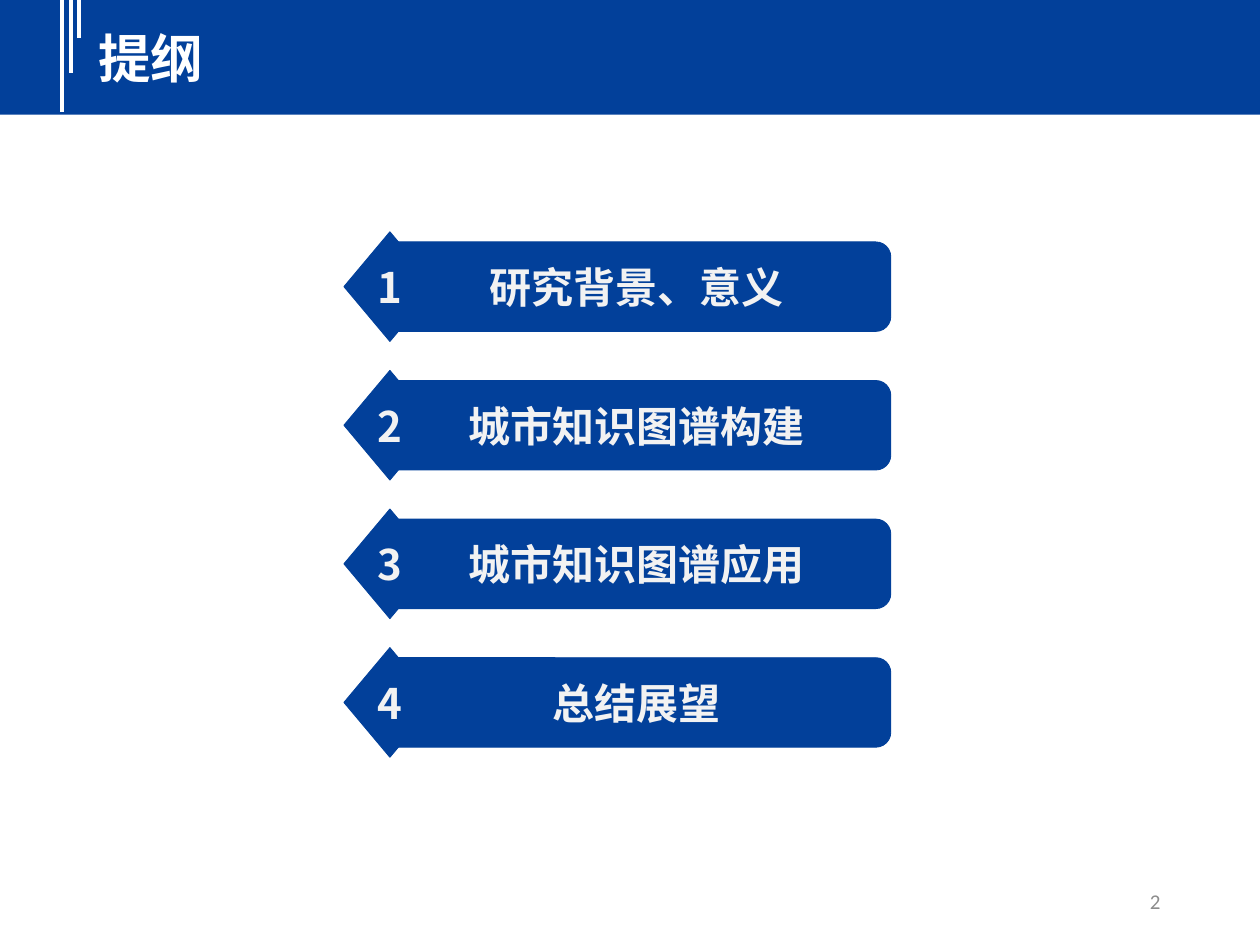
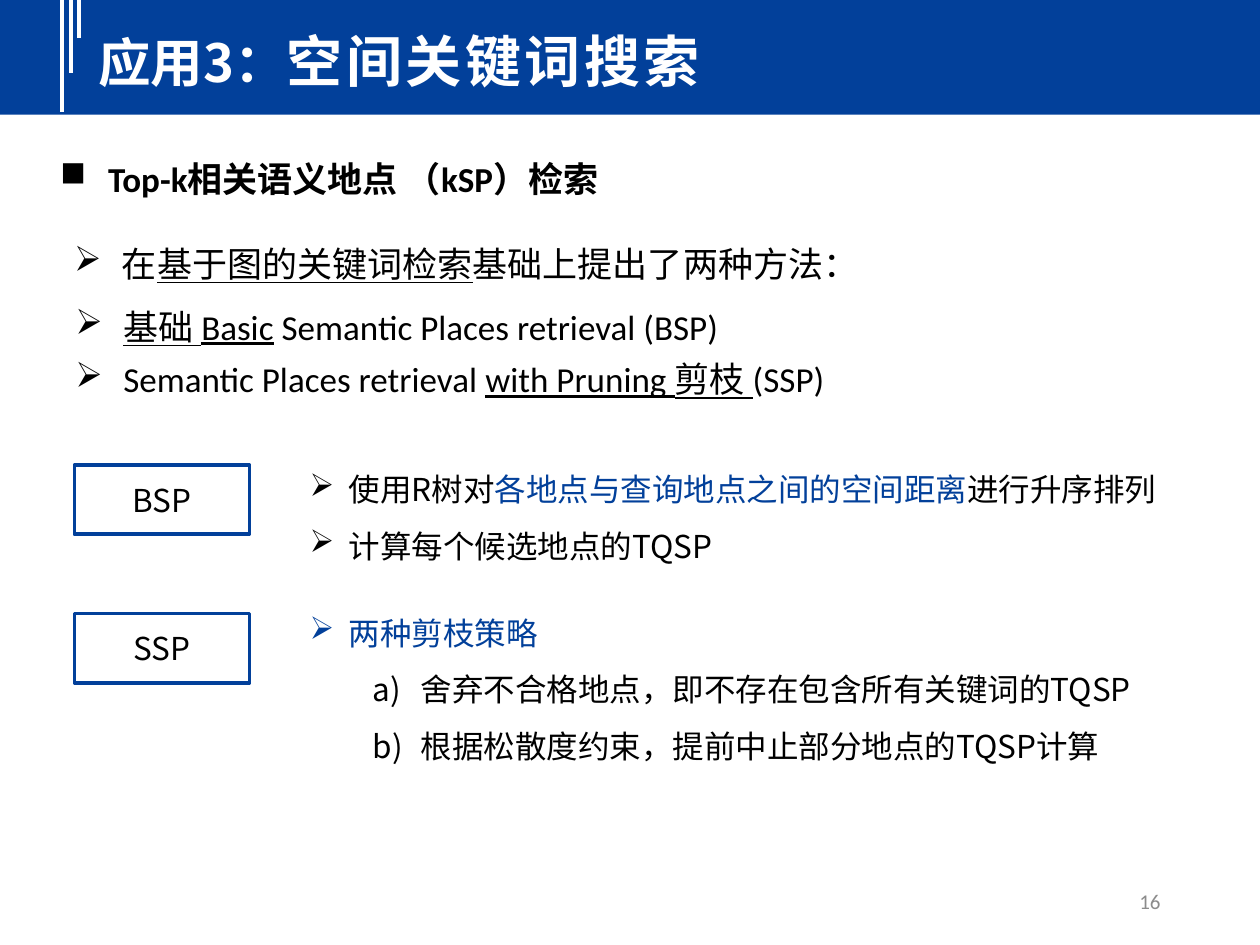
from dataclasses import dataclass

from lxml import etree
from pptx import Presentation
from pptx import util as u
from pptx.dml.color import RGBColor
from pptx.enum import shapes, text
from pptx.oxml import ns


@dataclass(frozen=True)
class Theme:
    blue: str = "02409A"
    white: str = "FFFFFF"
    pale: str = "F2F2F2"
    black: str = "000000"
    grey: str = "8C8C8C"
    latin: str = "Calibri"
    cjk: str = "Noto Sans CJK SC"
    title: int = 30
    title_large: int = 32
    agenda: int = 24
    body: int = 20
    detail: int = 18
    page: int = 12


theme = Theme()


def write_text(shape, paragraphs, size=theme.body, font=theme.latin, color=theme.black,
               bold=False, align=text.PP_ALIGN.LEFT, anchor=text.MSO_ANCHOR.TOP,
               wrap=True, grow=False, spacing=None, bullet=None, indent=0.38):
    """Fill a shape; a paragraph is a list of (words, run overrides).

    A bullet of "a)" numbers the paragraph, any other is shown as it is.
    """
    frame = shape.text_frame
    frame.word_wrap = wrap
    frame.vertical_anchor = anchor
    frame.auto_size = text.MSO_AUTO_SIZE.SHAPE_TO_FIT_TEXT if grow else text.MSO_AUTO_SIZE.NONE
    for index, runs in enumerate(paragraphs):
        paragraph = frame.paragraphs[0] if index == 0 else frame.add_paragraph()
        paragraph.alignment = align
        if spacing:
            paragraph.line_spacing = spacing
        numbered = runs[0][1].get("numbered", False)
        if bullet:
            properties = paragraph._p.get_or_add_pPr()
            if numbered:
                paragraph.level = 1
            margin, hanging = (0.88, 0.38) if numbered else (indent, indent)
            properties.set("marL", str(u.Inches(margin)))
            properties.set("indent", str(-u.Inches(hanging)))
            if numbered:
                etree.SubElement(properties, ns.qn("a:buAutoNum"), type="alphaLcParenR")
            else:
                etree.SubElement(properties, ns.qn("a:buChar"), char=bullet)
        for words, changes in runs:
            run = paragraph.add_run()
            run.text = words
            run.font.size = u.Pt(changes.get("size", size))
            run.font.bold = bold
            run.font.underline = changes.get("underline", False)
            run.font.color.rgb = RGBColor.from_string(changes.get("color", color))
            run.font.name = font
            run_properties = run._r.get_or_add_rPr()
            etree.SubElement(run_properties, ns.qn("a:ea"), typeface=theme.cjk)
            if "tracking" in changes:
                run_properties.set("spc", str(changes["tracking"] * 100))


def add_shape(parent, kind, box, fill=None, line=None, width=0.5):
    shape = parent.add_shape(kind, *map(u.Inches, box))
    shape.shadow.inherit = False
    if fill:
        shape.fill.solid()
        shape.fill.fore_color.rgb = RGBColor.from_string(fill)
    else:
        shape.fill.background()
    if line:
        shape.line.color.rgb = RGBColor.from_string(line)
        shape.line.width = u.Pt(width)
    else:
        shape.line.fill.background()
    return shape


presentation = Presentation()
presentation.slide_width = u.Inches(10)
presentation.slide_height = u.Inches(7.5)
blank_layout = presentation.slide_layouts[6]

# Title band, stripes and page number on every slide
titles = [
    ([("提纲", {})], "2"),
    ([("应用3：", {}), ("空间关键词搜索", {"size": theme.title_large, "tracking": 2})], "16"),
]
band_top = -0.03
stripes = [(0.49, 0.89), (0.56, 0.58), (0.63, 0.3)]
slides = []
for title, page_number in titles:
    slide = presentation.slides.add_slide(blank_layout)
    slides.append(slide)
    add_shape(slide.shapes, shapes.MSO_SHAPE.RECTANGLE, (0, band_top, 10, 0.94), theme.blue)
    for x, bottom in stripes:
        stripe = slide.shapes.add_connector(
            shapes.MSO_CONNECTOR.STRAIGHT, *map(u.Inches, (x, band_top, x, bottom)))
        stripe.line.color.rgb = RGBColor.from_string(theme.white)
        stripe.line.width = u.Pt(2.25)
        etree.SubElement(stripe._element.spPr, ns.qn("a:effectLst"))
    title_box = slide.shapes.add_textbox(*map(u.Inches, (0.68, 0.16, 9.12, 0.62)))
    write_text(title_box, [title], size=theme.title, font=theme.cjk, color=theme.white,
               bold=True, grow=True)
    page_box = slide.shapes.add_textbox(*map(u.Inches, (7.06, 6.95, 2.25, 0.4)))
    write_text(page_box, [[(page_number, {})]], size=theme.page, color=theme.grey,
               align=text.PP_ALIGN.RIGHT, anchor=text.MSO_ANCHOR.MIDDLE)

agenda_slide, search_slide = slides

# Agenda: one bar with a numbered diamond for each topic
topics = ["研究背景、意义", "城市知识图谱构建", "城市知识图谱应用", "总结展望"]
for index, topic in enumerate(topics):
    top = 1.92 + 1.1 * index
    group = agenda_slide.shapes.add_group_shape()
    bar = add_shape(group.shapes, shapes.MSO_SHAPE.ROUNDED_RECTANGLE,
                    (3.04, top, 4.03, 0.71), theme.blue, theme.blue)
    diamond = add_shape(group.shapes, shapes.MSO_SHAPE.DIAMOND,
                        (2.73, top - 0.08, 0.73, 0.87), theme.blue, theme.blue)
    for shape, words, font in [(bar, topic, theme.latin), (diamond, str(index + 1), theme.cjk)]:
        write_text(shape, [[(words, {})]], size=theme.agenda, font=font, color=theme.pale,
                   bold=True, align=text.PP_ALIGN.CENTER, anchor=text.MSO_ANCHOR.MIDDLE,
                   wrap=False)

# Spatial keyword search: heading, methods, then a label and details for each method
underlined = {"underline": True}
blue = {"color": theme.blue}
numbered = {"numbered": True}
heading = [[("Top-k相关语义地点 （kSP）检索", {})]]
introduction = [[("在", {}), ("基于图的关键词检索", underlined), ("基础上提出了两种方法：", {})]]
methods = [
    [("基础 Basic", underlined), (" Semantic Places retrieval (BSP)", {})],
    [("Semantic Places retrieval ", {}), ("with Pruning 剪枝 ", underlined), ("(SSP)", {})],
]
bsp_details = [
    [("使用R树对", {}), ("各地点与查询地点之间的空间距离", blue), ("进行升序排列", {})],
    [("计算每个候选地点的TQSP", {})],
]
ssp_details = [
    [("两种剪枝策略", blue)],
    [("舍弃不合格地点，即不存在包含所有关键词的TQSP", numbered)],
    [("根据松散度约束，提前中止部分地点的TQSP计算", numbered)],
]
arrow_list = dict(bullet="➢", spacing=1.25)
detail_list = dict(bullet="➢", spacing=1.5, indent=0.31, size=theme.detail, font=theme.cjk)
text_blocks = [
    ((0.38, 1.2, 4.5, 0.44), heading, dict(bullet="■", bold=True, wrap=False)),
    ((0.49, 1.79, 7.23, 0.49), introduction, arrow_list),
    ((0.5, 2.29, 6.21, 0.91), methods, dict(arrow_list, wrap=False)),
    ((2.36, 3.53, 7.35, 0.96), bsp_details, detail_list),
    ((2.36, 4.67, 7.35, 1.41), ssp_details, detail_list),
]
for box, paragraphs, options in text_blocks:
    block = search_slide.shapes.add_textbox(*map(u.Inches, box))
    write_text(block, paragraphs, grow=True, **options)

for method, top in [("BSP", 3.69), ("SSP", 4.87)]:
    label = add_shape(search_slide.shapes, shapes.MSO_SHAPE.RECTANGLE,
                      (0.59, top, 1.39, 0.55), line=theme.blue, width=2)
    write_text(label, [[(method, {})]], size=theme.detail, font=theme.cjk,
               align=text.PP_ALIGN.CENTER, anchor=text.MSO_ANCHOR.MIDDLE)

presentation.save("out.pptx")
